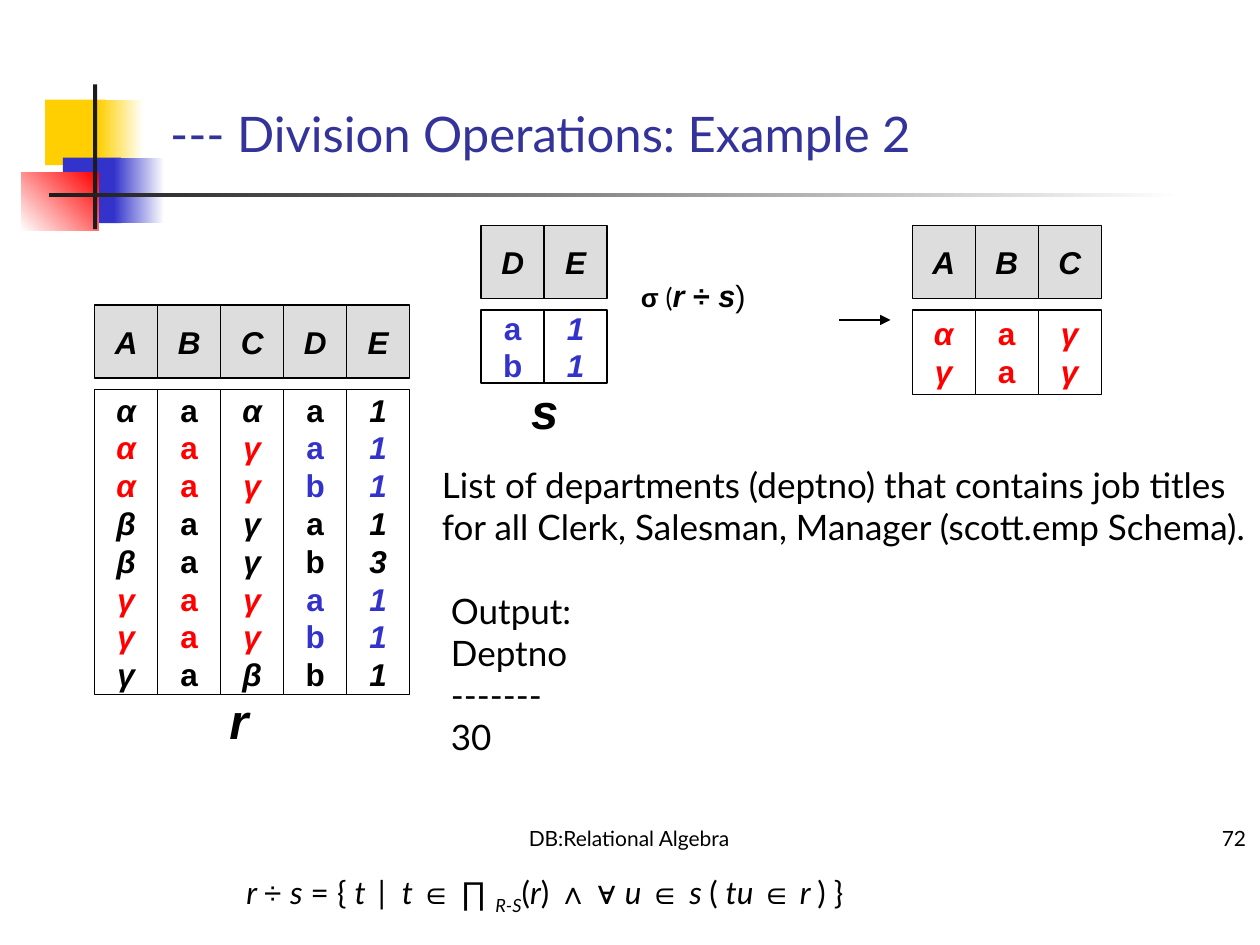
from lxml import etree
from pptx import Presentation
from pptx.dml.color import RGBColor
from pptx.enum.shapes import MSO_CONNECTOR, MSO_SHAPE
from pptx.enum.text import MSO_ANCHOR, PP_ALIGN
from pptx.oxml.ns import qn
from pptx.util import Cm, Pt

RECT = MSO_SHAPE.RECTANGLE
LINE = MSO_CONNECTOR.STRAIGHT
TOP, MID, LOW = MSO_ANCHOR.TOP, MSO_ANCHOR.MIDDLE, MSO_ANCHOR.BOTTOM
LEFT, MEET, RIGHT = PP_ALIGN.LEFT, PP_ALIGN.CENTER, PP_ALIGN.RIGHT

HUES = {
    "black": "000000", "white": "FFFFFF", "gray": "DDDDDD", "dark": "1C1C1C",
    "gold": "FFCF01", "blue": "3333CC", "red": "FF0000", "navy": "333399",
}
CELL, HEAD, STEP = 1.27, 1.47, 1.7  # column width, head height, head to body


def tint(name):
    return RGBColor.from_string(HUES[name])


def add_run(par, text, size, style="", font="Lato", hue="black"):
    """Style holds b for bold, i for italic, s for subscript, w for wide."""
    run = par.add_run()
    run.text = text
    face = run.font
    face.name, face.size = font, Pt(size)
    face.bold, face.italic = "b" in style, "i" in style
    face.color.rgb = tint(hue)
    props = run._r.get_or_add_rPr()
    if "s" in style:
        props.set("baseline", "-25000")
    if "w" in style:
        props.set("spc", "230")


def add_box(slide, x, y, w, h, fill, end=None, angle=0):
    """Draw a plain rectangle; with an end colour it fades from fill to end."""
    box = slide.shapes.add_shape(RECT, Cm(x), Cm(y), Cm(w), Cm(h))
    box.shadow.inherit = False
    box.line.fill.background()
    if end:
        box.fill.gradient()
        box.fill.gradient_angle = angle
        for stop, name in zip(box.fill.gradient_stops, (fill, end)):
            stop.color.rgb = tint(name)
    else:
        box.fill.solid()
        box.fill.fore_color.rgb = tint(fill)
    return box


def add_text(slide, x, y, w, h, align=LEFT, anchor=TOP, wrap=True):
    """Place a text box and return its frame."""
    frame = slide.shapes.add_textbox(Cm(x), Cm(y), Cm(w), Cm(h)).text_frame
    frame.word_wrap = wrap
    frame.vertical_anchor = anchor
    frame.paragraphs[0].alignment = align
    return frame


def add_label(slide, x, y, w, h, text, size, style="", font="Lato",
              hue="black", **place):
    frame = add_text(slide, x, y, w, h, **place)
    add_run(frame.paragraphs[0], text, size, style, font, hue)


def draw_motif(slide, x, y):
    parts = [
        (0.48, 0.31, 1.22, 1.32, "gold"),
        (1.55, 0.31, 0.91, 1.32, "gold", "white"),
        (0.84, 1.48, 1.17, 1.32, "blue"),
        (1.86, 1.48, 1.02, 1.32, "blue", "white"),
        (0, 1.78, 1.55, 1.17, "white", "red", 45),
        (1.45, 0, 0.08, 2.92, "dark"),
        (0.56, 2.19, 22.86, 0.08, "dark", "white"),
    ]
    for dx, dy, *rest in parts:
        add_box(slide, x + dx, y + dy, *rest)


def draw_cell(slide, x, y, h, fill, items):
    """Items are (text, style, hue), one for each line of the cell."""
    box = add_box(slide, x, y, CELL, h, fill)
    box.line.color.rgb = tint("black")
    box.line.width = Pt(0.75)
    frame = box.text_frame
    frame.word_wrap = False
    frame.vertical_anchor = MID
    for i, (text, style, hue) in enumerate(items):
        par = frame.add_paragraph() if i else frame.paragraphs[0]
        par.alignment = MEET
        add_run(par, text, 18, style, "Arial", hue)


def draw_grid(slide, x, y, h, cols, hits):
    """Draw a relation; rows in hits are coloured, A to C red, D and E blue."""
    for i, (name, vals) in enumerate(cols.items()):
        left = x + i * CELL
        style = "b" if name in "BD" else "bi"
        glow = "red" if name in "ABC" else "blue"
        items = [(val, style, glow if row in hits else "black")
                 for row, val in enumerate(vals)]
        draw_cell(slide, left, y, HEAD, "gray", [(name, "bi", "black")])
        draw_cell(slide, left, y + STEP, h, "white", items)


def draw_query(slide, x, y):
    """Place the selection and the arrow to its result."""
    par = add_text(slide, x, y, 4.24, 1.07).paragraphs[0]
    par.line_spacing = 0.8
    add_run(par, "σ", 15, "b", "Arial")
    add_run(par, " (", 15)
    for text, style in (("r ", "bi"), ("÷ ", "b"), ("s", "bi"), (")", "")):
        add_run(par, text, 17.5, style, "Arial")
    arrow = slide.shapes.add_connector(
        LINE, Cm(x + 4.24), Cm(y + 0.84), Cm(x + 5.28), Cm(y + 0.84))
    arrow.line.color.rgb = tint("black")
    arrow.line.width = Pt(0.75)
    etree.SubElement(arrow.line._get_or_add_ln(), qn("a:tailEnd"),
                     type="triangle")
    etree.SubElement(arrow._element.spPr, qn("a:effectLst"))


def draw_task(slide, x, y, w, h):
    frame = add_text(slide, x, y, w, h)
    add_run(frame.paragraphs[0], "List of departments (deptno) that contains "
            "job titles for all Clerk, Salesman, Manager (scott.emp Schema).",
            20)
    for i, text in enumerate(("Output:", "Deptno", "-------", "30")):
        par = frame.add_paragraph()
        par._p.get_or_add_pPr().set("marL", str(Cm(0.18)))
        if i == 0:
            par.space_before = Pt(24)
        add_run(par, text, 20)


def draw_rule(slide, x, y, w, h):
    """Write the definition of division."""
    par = add_text(slide, x, y, w, h).paragraphs[0]
    sign = "Arial"
    runs = [
        ("r ", "i"), ("÷ ", "", sign), ("s", "i"), (" = { ",), ("t", "i"),
        (" | ", "w"), ("t ", "i"), ("∈ ∏ ", "", sign), ("R-S", "is"), ("(",),
        ("r", "i"), (") ",), ("∧ ∀ ", "", sign), ("u ", "i"),
        ("∈ ", "", sign), ("s ", "i"), ("( ",), ("tu ", "i"),
        ("∈", "", sign), (" r ", "i"), (") }",),
    ]
    for text, *look in runs:
        add_run(par, text, 18, *look)


def main():
    deck = Presentation()
    deck.slide_width, deck.slide_height = Cm(25.4), Cm(19.05)
    slide = deck.slides.add_slide(deck.slide_layouts[6])
    draw_motif(slide, 0.43, 1.7)
    add_label(slide, 3.18, 1.7, 21.64, 1.7,
              "--- Division Operations: Example 2", 28, hue="navy", anchor=LOW)
    draw_grid(slide, 1.91, 6.15, 6.15, {
        "A": "αααββγγγ", "B": "aaaaaaaa", "C": "αγγγγγγβ",
        "D": "aabababb", "E": "11113111"}, {1, 2, 5, 6})
    draw_grid(slide, 9.7, 4.55, 1.47, {"D": "ab", "E": "11"}, {0, 1})
    draw_grid(slide, 18.39, 4.55, 1.7,
              {"A": "αγ", "B": "aa", "C": "γγ"}, {0, 1})
    for x, y, w, name in ((4.37, 13.79, 0.89, "r"), (10.46, 7.54, 1.04, "s")):
        add_label(slide, x, y, w, 1.45, name, 28, "bi", "Arial",
                  align=MEET, anchor=MID, wrap=False)
    draw_query(slide, 12.67, 5.61)
    draw_task(slide, 8.66, 9.22, 16.71, 7.04)
    add_label(slide, 8.66, 16.21, 8.05, 1.07, "DB:Relational Algebra", 12,
              align=MEET, anchor=LOW)
    add_label(slide, 20.09, 16.21, 5.28, 1.07, "72", 12,
              align=RIGHT, anchor=LOW)
    draw_rule(slide, 4.72, 17.48, 19.08, 1.12)
    deck.save("out.pptx")


if __name__ == "__main__":
    main()
